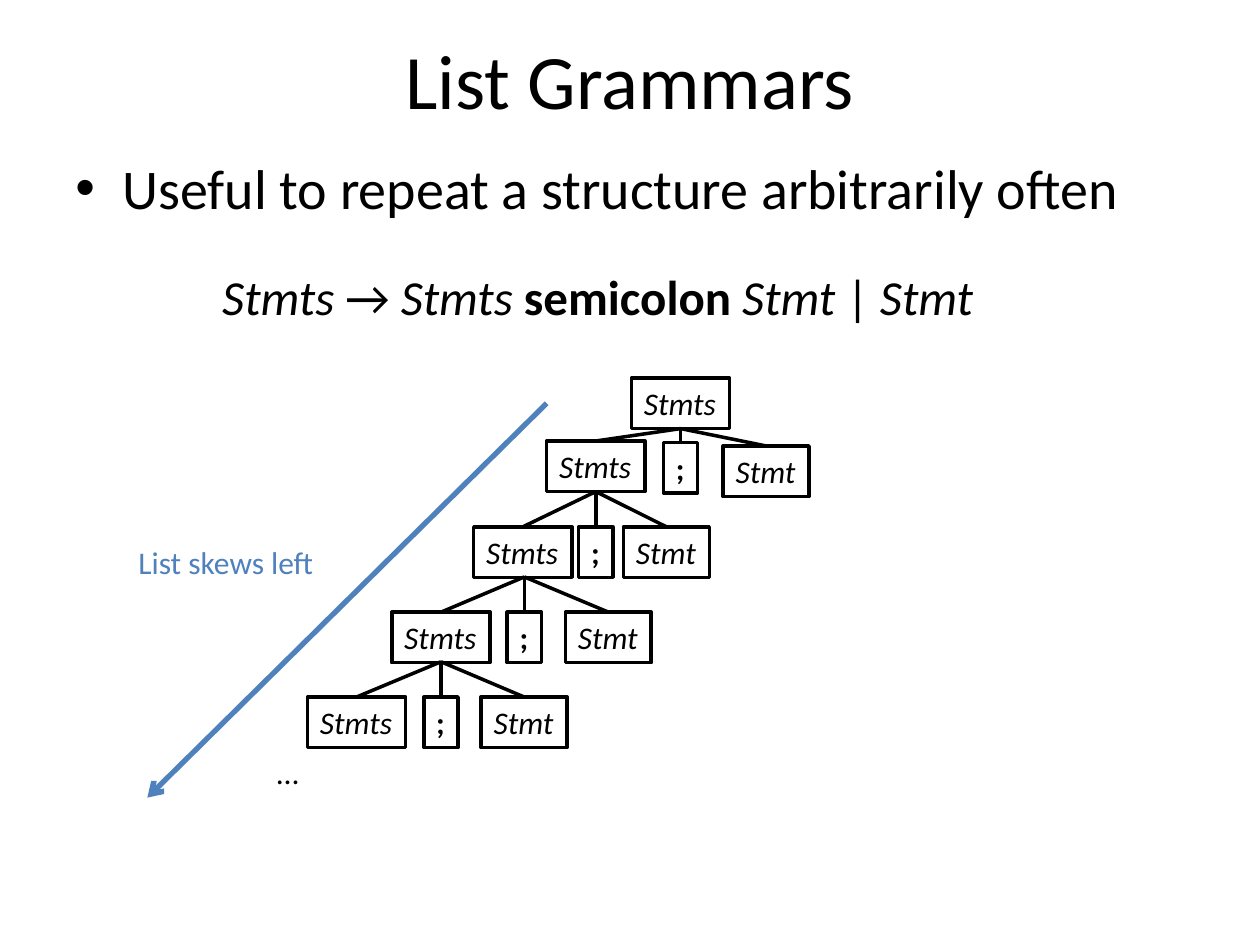
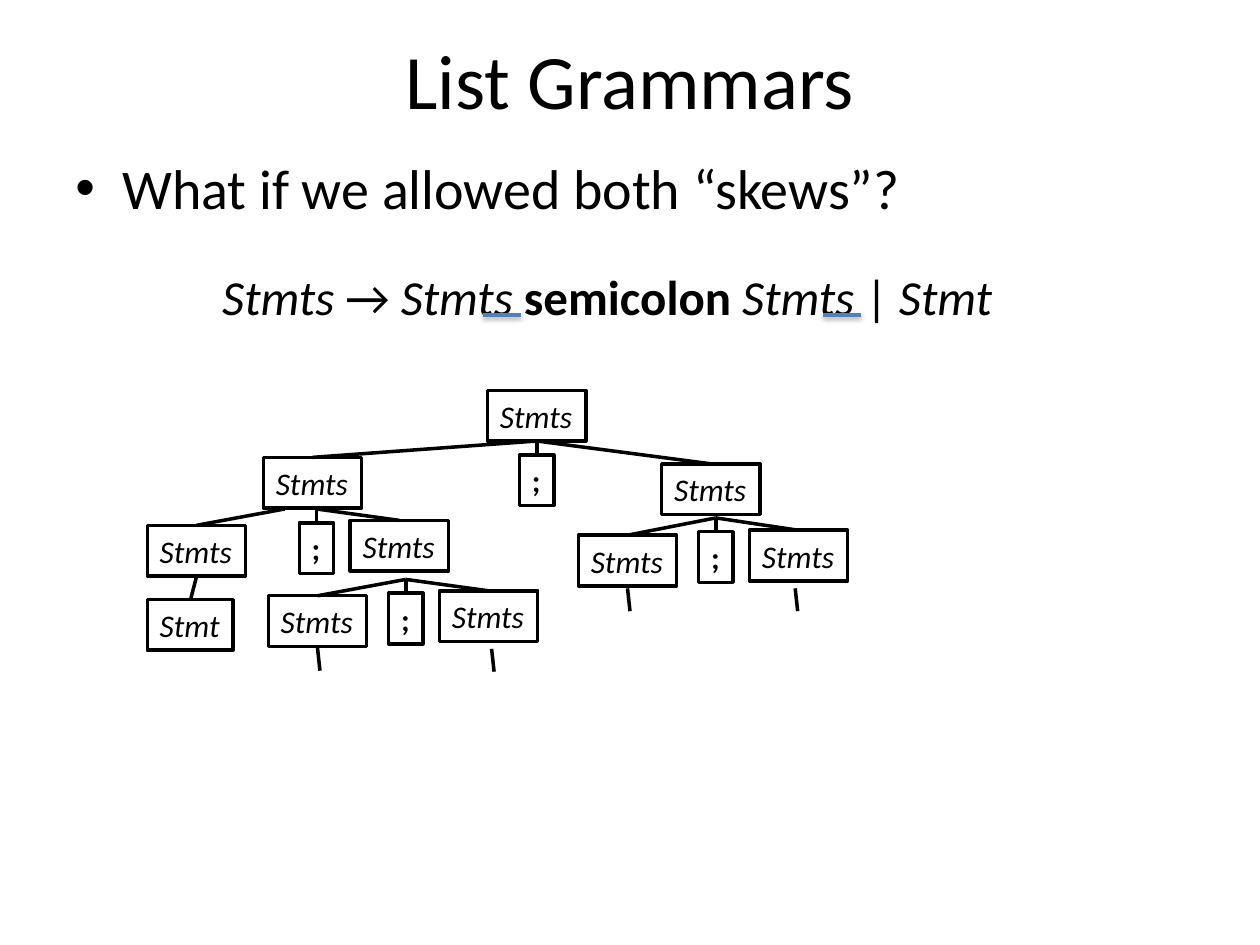
"""Build two slides that show how list grammars grow their parse trees."""
from dataclasses import dataclass, field
from typing import Any

from lxml.etree import SubElement
from pptx import Presentation
from pptx.dml.color import RGBColor as Rgb
from pptx.enum.shapes import MSO_CONNECTOR as Connector, MSO_SHAPE as Preset
from pptx.enum.text import MSO_ANCHOR as Anchor, MSO_AUTO_SIZE as AutoSize, PP_ALIGN as Align
from pptx.oxml.ns import qn
from pptx.util import Cm, Pt

Point = tuple[float, float]


@dataclass(frozen=True)
class Theme:
    font: str = "Calibri"
    ink: Rgb = Rgb.from_string("000000")
    paper: Rgb = Rgb.from_string("FFFFFF")
    accent: Rgb = Rgb.from_string("4F81BD")
    title_size: float = 44
    body_size: float = 32
    grammar_size: float = 28
    label_size: float = 18
    line_width: float = 2
    arrow_width: float = 3


@dataclass(frozen=True)
class Run:
    text: str
    bold: bool = False
    italic: bool = False


@dataclass(frozen=True)
class Box:
    left: float
    top: float
    width: float
    height: float


@dataclass(frozen=True)
class Line:
    start: Point
    end: Point


@dataclass(frozen=True)
class Fork:
    apex: Point
    left_offset: float
    right_offset: float
    drops: tuple[float, float, float]
    right_label: str = "Stmts"
    left_start: float = 0


@dataclass(frozen=True)
class Lesson:
    bullet: str
    repeated: str
    root: Point
    forks: list[Fork]
    leaves: list[Point] = field(default_factory=list)
    branches: list[Line] = field(default_factory=list)
    underlines: list[Line] = field(default_factory=list)
    arrow: Line | None = None
    notes: list[tuple[str, Box, Rgb]] = field(default_factory=list)


THEME = Theme()
NODE_HEIGHT = 1.02
NODE_WIDTHS = {"Stmts": 1.98, "Stmt": 1.73, ";": 0.69}
TITLE_BOX = Box(1.27, 0, 22.86, 3.18)
BODY_BOX = Box(1.27, 2.97, 22.86, 12.57)
GRAMMAR_BOX = Box(4.23, 4.65, 20.75, 2.06)
BULLET_INDENT = 0.95
LEVEL = (0.71, 0.71, 0.71)
STEP = (0.33, 0.28, 0.23)
STUB: Point = (0.05, 0.46)
FIT = {"word_wrap": False, "auto_size": AutoSize.SHAPE_TO_FIT_TEXT}


def apply(target: Any, values: dict[str, Any]) -> None:
    """Set each named attribute on the target."""
    for name, value in values.items():
        setattr(target, name, value)


def write(shape: Any, runs: list[Run], size: float, color: Rgb,
          frame: dict[str, Any], layout: dict[str, Any]) -> Any:
    """Fill a shape with one formatted paragraph and return it."""
    apply(shape.text_frame, frame)
    paragraph = shape.text_frame.paragraphs[0]
    apply(paragraph, layout)
    for item in runs:
        run = paragraph.add_run()
        run.text = item.text
        apply(run.font, {"name": THEME.font, "size": Pt(size),
                         "bold": item.bold, "italic": item.italic})
        run.font.color.rgb = color
    return paragraph


def add_text(slide: Any, box: Box, runs: list[Run], size: float, color: Rgb = THEME.ink,
             frame: dict[str, Any] | None = None, layout: dict[str, Any] | None = None) -> Any:
    """Add a text box and return its paragraph."""
    shape = slide.shapes.add_textbox(Cm(box.left), Cm(box.top), Cm(box.width), Cm(box.height))
    return write(shape, runs, size, color, {"word_wrap": True} | (frame or {}), layout or {})


def add_node(slide: Any, label: str, position: Point) -> None:
    """Draw one boxed grammar symbol."""
    shape = slide.shapes.add_shape(Preset.RECTANGLE, Cm(position[0]), Cm(position[1]),
                                   Cm(NODE_WIDTHS[label]), Cm(NODE_HEIGHT))
    shape.shadow.inherit = False
    shape.fill.solid()
    shape.fill.fore_color.rgb = THEME.paper
    shape.line.color.rgb = THEME.ink
    shape.line.width = Pt(THEME.line_width)
    terminal = label == ";"
    write(shape, [Run(label, bold=terminal, italic=not terminal)], THEME.label_size,
          THEME.ink, FIT, {"alignment": Align.LEFT})


def add_line(slide: Any, line: Line, color: Rgb = THEME.ink, width: float = THEME.line_width,
             arrow: bool = False, shadow: bool = False) -> None:
    """Draw a straight line with an optional arrowhead or shadow."""
    connector = slide.shapes.add_connector(
        Connector.STRAIGHT, *(Cm(value) for value in line.start + line.end))
    connector.line.color.rgb = color
    connector.line.width = Pt(width)
    if arrow:
        SubElement(connector.line._get_or_add_ln(), qn("a:tailEnd"), type="arrow")
    effects = SubElement(connector._element.spPr, qn("a:effectLst"))
    if shadow:
        outer = SubElement(effects, qn("a:outerShdw"), blurRad=str(Pt(3.1)),
                           dist=str(Pt(1.6)), dir="5400000", rotWithShape="0")
        tint = SubElement(outer, qn("a:srgbClr"), val=str(THEME.ink))
        SubElement(tint, qn("a:alpha"), val="38000")


def add_fork(slide: Any, fork: Fork) -> None:
    """Draw the three children of a node and the lines to them."""
    x, y = fork.apex
    children = zip(("Stmts", ";", fork.right_label),
                   (fork.left_offset, -NODE_WIDTHS[";"] / 2, fork.right_offset),
                   fork.drops, (fork.left_start, 0, 0))
    for label, offset, drop, start in children:
        left, top = x + offset, y + drop
        add_node(slide, label, (left, top))
        add_line(slide, Line((x + start, y), (left + NODE_WIDTHS[label] / 2, top)))


def add_header(slide: Any, bullet: str, repeated: str) -> None:
    """Write the title, the bullet and the grammar rule."""
    add_text(slide, TITLE_BOX, [Run("List Grammars")], THEME.title_size,
             frame={"vertical_anchor": Anchor.MIDDLE}, layout={"alignment": Align.CENTER})
    paragraph = add_text(slide, BODY_BOX, [Run(bullet)], THEME.body_size,
                         layout={"space_before": Pt(THEME.body_size * 0.2)})
    properties = paragraph._p.get_or_add_pPr()
    properties.set("marL", str(Cm(BULLET_INDENT)))
    properties.set("indent", str(-Cm(BULLET_INDENT)))
    SubElement(properties, qn("a:buFont"), typeface="Arial")
    SubElement(properties, qn("a:buChar"), char="•")
    rule = [Run("Stmts", italic=True), Run(" → "), Run("Stmts ", italic=True),
            Run("semicolon ", bold=True), Run(f"{repeated} ", italic=True),
            Run("| "), Run("Stmt", italic=True)]
    add_text(slide, GRAMMAR_BOX, rule, THEME.grammar_size,
             frame={"auto_size": AutoSize.SHAPE_TO_FIT_TEXT}, layout={"line_spacing": 1.5})


def add_lesson(presentation: Any, lesson: Lesson) -> None:
    """Add one slide with its grammar and parse tree."""
    slide = presentation.slides.add_slide(presentation.slide_layouts[6])
    add_header(slide, lesson.bullet, lesson.repeated)
    add_node(slide, "Stmts", lesson.root)
    for fork in lesson.forks:
        add_fork(slide, fork)
    for leaf in lesson.leaves:
        add_node(slide, "Stmt", leaf)
    for branch in lesson.branches:
        add_line(slide, branch)
    for underline in lesson.underlines:
        add_line(slide, underline, THEME.accent, shadow=True)
    if lesson.arrow:
        add_line(slide, lesson.arrow, THEME.accent, THEME.arrow_width, arrow=True)
    for text, box, color in lesson.notes:
        add_text(slide, box, [Run(text)], THEME.label_size, color, FIT)


def stub(x: float, y: float) -> Line:
    """Return the short line below an unexpanded node."""
    return Line((x, y), (x + STUB[0], y + STUB[1]))


LESSONS = [
    Lesson(
        bullet="Useful to repeat a structure arbitrarily often",
        repeated="Stmt",
        root=(12.73, 7.62),
        forks=[
            Fork((13.72, 8.64), -2.7, 0.86, (0.25, 0.28, 0.35), "Stmt"),
            Fork((12.01, 9.91), -2.46, 0.56, LEVEL, "Stmt"),
            Fork((10.57, 11.63), -2.67, 0.83, LEVEL, "Stmt"),
            Fork((8.89, 13.34), -2.69, 0.81, LEVEL, "Stmt"),
        ],
        arrow=Line((11.02, 8.13), (2.97, 16.08)),
        notes=[("List skews left", Box(2.54, 10.82, 4.19, 1.02), THEME.accent),
               ("…", Box(5.33, 15.06, 0.97, 1.02), THEME.ink)],
    ),
    Lesson(
        bullet="What if we allowed both “skews”?",
        repeated="Stmts",
        root=(9.83, 7.87),
        forks=[
            Fork((10.82, 8.89), -5.51, 2.52, (0.33, 0.28, 0.46)),
            Fork((6.38, 10.26), -3.41, 0.68, STEP, left_start=-0.64),
            Fork((14.43, 10.44), -2.77, 0.68, (0.35, 0.28, 0.25)),
            Fork((8.18, 11.68), -2.77, 0.68, STEP),
        ],
        leaves=[(2.97, 12.09)],
        branches=[Line((3.96, 11.63), (3.84, 12.09)), stub(6.4, 13.06), stub(9.91, 13.08),
                  stub(12.65, 11.86), stub(16.03, 11.86)],
        underlines=[Line((x, 6.35), (x + 0.77, 6.35)) for x in (9.73, 16.59)],
    ),
]


def main() -> None:
    """Build and save the presentation."""
    presentation = Presentation()
    apply(presentation, {"slide_width": Cm(25.4), "slide_height": Cm(19.05)})
    for lesson in LESSONS:
        add_lesson(presentation, lesson)
    presentation.save("out.pptx")


main()
